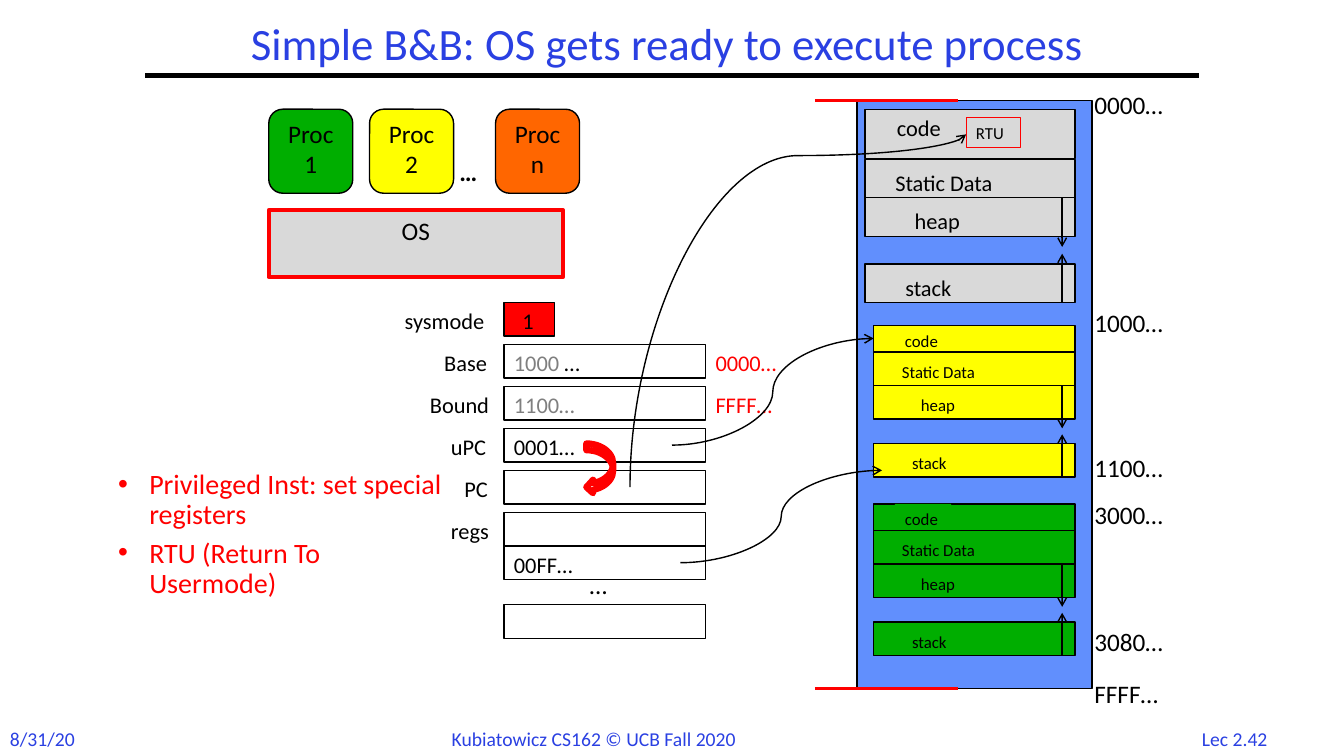
import lxml.etree
import pptx
import pptx.dml.color
import pptx.enum.shapes
import pptx.enum.text
import pptx.oxml.ns
import pptx.util

COLUMNS, ROWS = 160, 90  # grid cells of a twelfth of an inch
SLIDE_WIDTH, SLIDE_HEIGHT = pptx.util.Inches(13.33), pptx.util.Inches(7.5)
FONT = "Calibri"
COLORS = {
    "heading": "2A40E2", "ink": "000000", "alert": "FF0000", "faded": "7F7F7F",
    "os": "D9D9D9", "proc1": "00AE00", "proc2": "FFFF00", "procn": "FF6600",
    "memory": "618FFD", "paper": "FFFFFF",
}
KIND = pptx.enum.shapes.MSO_SHAPE
CONNECTOR = pptx.enum.shapes.MSO_CONNECTOR
ALIGN = pptx.enum.text.PP_ALIGN
qn = pptx.oxml.ns.qn

SEGMENTS = ("code", "Static Data", "heap", "stack")
LARGE_IMAGE = dict(width=25, size=16, label_height=4.45, growth=5.85,
                   tops=(0, 6, 10.55, 18.45), heights=(5.9, 4.6, 4.6, 4.6),
                   indents=(2.6, 2.4, 4.7, 3.6), label_widths=(8.3, 15.6, 8.4, 8.75))
SMALL_IMAGE = dict(width=24, size=12, label_height=3.6, growth=5.1,
                   tops=(0, 3.15, 7.15, 14.05), heights=(3.15, 4, 4, 4),
                   indents=(2.55, 2.2, 4.45, 3.4), label_widths=(6.7, 12.25, 6.85, 7.1))


def x(column):
    return round(SLIDE_WIDTH * column / COLUMNS)


def y(row):
    return round(SLIDE_HEIGHT * row / ROWS)


def rgb(name):
    return pptx.dml.color.RGBColor.from_string(COLORS[name])


def write(paragraph, text, size, color="ink", bold=False):
    run = paragraph.add_run()
    run.text = text
    run.font.name, run.font.size, run.font.bold = FONT, pptx.util.Pt(size), bold
    run.font.color.rgb = rgb(color)


def add_label(shapes, left, top, width, height, text, size, color="ink",
              bold=False, fill=None):
    label = shapes.add_textbox(x(left), y(top), x(width), y(height))
    label.text_frame.word_wrap = False
    label.text_frame.auto_size = pptx.enum.text.MSO_AUTO_SIZE.SHAPE_TO_FIT_TEXT
    if fill:
        label.fill.solid()
        label.fill.fore_color.rgb = rgb(fill)
    write(label.text_frame.paragraphs[0], text, size, color, bold)
    return label


def add_block(shapes, left, top, width, height, fill=None, line="ink", weight=1,
              kind=KIND.RECTANGLE, text="", size=18, align=ALIGN.CENTER):
    block = shapes.add_shape(kind, x(left), y(top), x(width), y(height))
    block.shadow.inherit = False
    if fill:
        block.fill.solid()
        block.fill.fore_color.rgb = rgb(fill)
    else:
        block.fill.background()
    block.line.color.rgb = rgb(line)
    block.line.width = pptx.util.Pt(weight)
    if text:
        block.text_frame.vertical_anchor = pptx.enum.text.MSO_ANCHOR.TOP
        paragraph = block.text_frame.paragraphs[0]
        paragraph.alignment = align
        write(paragraph, text, size)


def add_line(shapes, start, end, color="ink", weight=1, arrow=False,
             kind=CONNECTOR.STRAIGHT):
    line = shapes.add_connector(kind, x(start[0]), y(start[1]), x(end[0]), y(end[1]))
    line.line.color.rgb = rgb(color)
    line.line.width = pptx.util.Pt(weight)
    properties = line._element.spPr
    if arrow:
        lxml.etree.SubElement(properties.find(qn("a:ln")), qn("a:tailEnd"), type="arrow")
    lxml.etree.SubElement(properties, qn("a:effectLst"))
    return line


def add_upward_curve(shapes, start, end, bend):
    """Curve that leaves start vertically; bend is the share of the rise before it turns."""
    middle = (start[0] + end[0]) / 2, (start[1] + end[1]) / 2
    half_rise, half_run = (start[1] - end[1]) / 2, (end[0] - start[0]) / 2
    curve = add_line(shapes, (middle[0] + half_rise, middle[1] + half_run),
                     (middle[0] - half_rise, middle[1] - half_run),
                     arrow=True, kind=CONNECTOR.CURVE)
    properties = curve._element.spPr
    properties.find(qn("a:xfrm")).set("rot", str(90 * 60000))
    guides = properties.find(qn("a:prstGeom")).find(qn("a:avLst"))
    lxml.etree.SubElement(guides, qn("a:gd"), name="adj1", fmla=f"val {round(bend * 100000)}")


def add_process_image(slide, left, top, fill, layout, masked=()):
    """Code, data, heap and stack in memory; masked labels cover the borders behind them."""
    shapes = slide.shapes.add_group_shape().shapes
    for segment, offset, height, indent, label_width in zip(
            SEGMENTS, layout["tops"], layout["heights"], layout["indents"],
            layout["label_widths"]):
        add_block(shapes, left, top + offset, layout["width"], height, fill)
        drop = 0 if segment == "code" else 0.55
        add_label(shapes, left + indent, top + offset + drop, label_width,
                  layout["label_height"], segment, layout["size"],
                  fill=fill if segment in masked else None)
    growth_column = left + layout["width"] - 1.55
    heap_top = top + layout["tops"][2]
    stack_bottom = top + layout["tops"][3] + layout["heights"][3]
    for start, growth in ((stack_bottom, -layout["growth"]), (heap_top, layout["growth"])):
        add_line(shapes, (growth_column, start), (growth_column, start + growth), arrow=True)


def add_heading(slide):
    title = slide.shapes.title
    title.left, title.top, title.width, title.height = x(22), y(2), x(116), y(7)
    title.text_frame.vertical_anchor = pptx.enum.text.MSO_ANCHOR.MIDDLE
    paragraph = title.text_frame.paragraphs[0]
    paragraph.alignment, paragraph.line_spacing = ALIGN.CENTER, 0.9
    write(paragraph, "Simple B&B: OS gets ready to execute process ", 32, "heading")
    add_line(slide.shapes, (17.3, 9), (142.7, 9), weight=3)


def add_notes_list(slide):
    body = slide.placeholders[1]
    body.left, body.top, body.width, body.height = x(12.85), y(55.35), x(41), y(14)
    items = ("Privileged Inst: set special registers", "RTU (Return To Usermode)")
    for number, item in enumerate(items):
        frame = body.text_frame
        paragraph = frame.add_paragraph() if number else frame.paragraphs[0]
        paragraph.line_spacing, paragraph.space_before = 0.9, pptx.util.Pt(6)
        indent = pptx.util.Inches(0.31)
        properties = paragraph._p.get_or_add_pPr()
        properties.set("marL", str(indent))
        properties.set("indent", str(-indent))
        lxml.etree.SubElement(properties, qn("a:buChar"), char="•")
        write(paragraph, item, 20, "alert")


def add_processes(shapes):
    add_block(shapes, 32, 25, 35, 8, "os", "alert", 3, text="OS")
    for left, name, fill in ((32, "Proc 1", "proc1"), (44, "Proc 2", "proc2"),
                             (59, "Proc n", "procn")):
        add_block(shapes, left, 13, 10, 10, fill, kind=KIND.ROUNDED_RECTANGLE, text=name)
    add_label(shapes, 53.5, 18, 5.4, 4.8, "…", 18, bold=True)


def add_registers(shapes):
    for top, name, name_width in ((36, "sysmode", 13.2), (41, "Base", 8.5),
                                  (46, "Bound", 10.2), (51, "uPC", 7.7),
                                  (56, "PC", 6.1), (61, "regs", 7.7)):
        add_label(shapes, 60.2 - name_width, top, name_width, 4.45, name, 16)
    add_block(shapes, 60, 36, 6, 4, "alert")
    add_label(shapes, 61, 36, 4, 4.45, "1", 16)
    for top in (41, 46, 51, 56, 61, 65, 72):
        add_block(shapes, 60, top, 24, 4)
    base = add_label(shapes, 60, 41, 11.9, 4.45, "1000 ", 16, "faded")
    write(base.text_frame.paragraphs[0], "…", 16)
    for left, top, value, color in ((60, 46, "1100…", "faded"), (60, 51, "0001…", "ink"),
                                    (60, 65, "00FF…", "ink"), (84, 41, "0000…", "alert"),
                                    (84, 46, "FFFF…", "alert")):
        add_label(shapes, left, top, 11.2, 4.45, value, 16, color)
    add_label(shapes, 69, 67.2, 5.4, 4.8, "…", 18)


def add_memory(slide):
    shapes = slide.shapes
    add_block(shapes, 102, 12, 28, 70, "memory")
    add_process_image(slide, 103, 13, "os", LARGE_IMAGE)
    add_process_image(slide, 104, 38.75, "proc2", SMALL_IMAGE, ("Static Data",))
    add_process_image(slide, 104, 60, "proc1", SMALL_IMAGE, ("code", "Static Data"))
    for top, address in ((10, "0000…"), (36, "1000…"), (53.2, "1100…"),
                         (58.8, "3000…"), (74, "3080…"), (80.2, "FFFF…")):
        add_label(shapes, 129.1, top, 12.3, 4.8, address, 18)
    for limit in (12, 82):
        add_line(shapes, (97, limit), (114, limit), "alert", 2.25)


def add_pointers(shapes):
    add_upward_curve(shapes, (75, 58), (115, 16), 0.94)
    for start, end in (((80, 53), (104, 40.3)), ((81, 67), (105, 56))):
        add_line(shapes, start, end, arrow=True, kind=CONNECTOR.CURVE)
    add_block(shapes, 115, 14, 6.5, 3.6, line="alert", weight=0.75,
              text="RTU", size=12, align=ALIGN.LEFT)
    add_block(shapes, 69.8, 52.8, 3.2, 6, "paper", "alert", 4.5, KIND.CURVED_LEFT_ARROW)


def add_footer(shapes):
    for left, width, text in ((0, 10.2, "8/31/20"),
                              (52.6, 41.2, "Kubiatowicz CS162 © UCB Fall 2020"),
                              (141.9, 11.6, "Lec 2.42")):
        add_label(shapes, left, 85.9, width, 4.05, text, 14, "heading")


def main():
    deck = pptx.Presentation()
    deck.slide_width, deck.slide_height = SLIDE_WIDTH, SLIDE_HEIGHT
    slide = deck.slides.add_slide(deck.slide_layouts[1])
    add_footer(slide.shapes)
    add_heading(slide)
    add_notes_list(slide)
    add_processes(slide.shapes)
    add_memory(slide)
    add_registers(slide.shapes)
    add_pointers(slide.shapes)
    deck.save("out.pptx")


if __name__ == "__main__":
    main()
